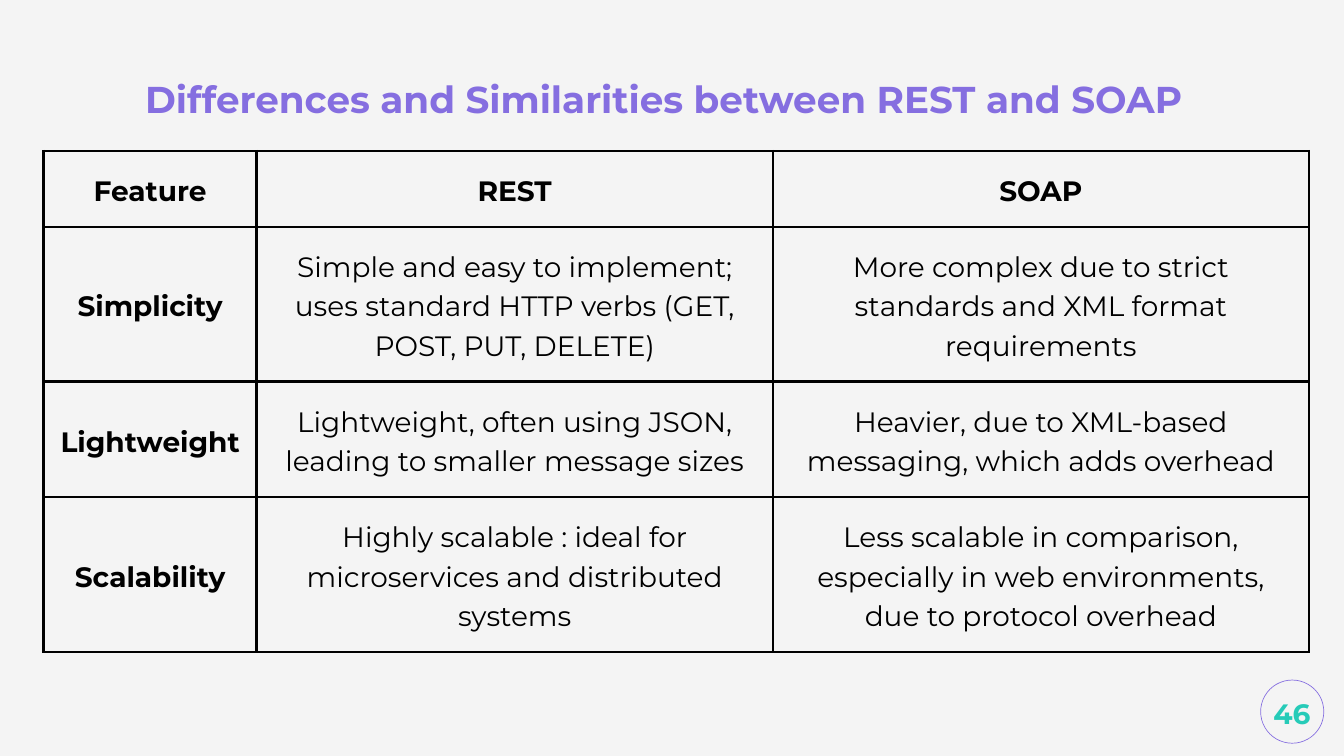
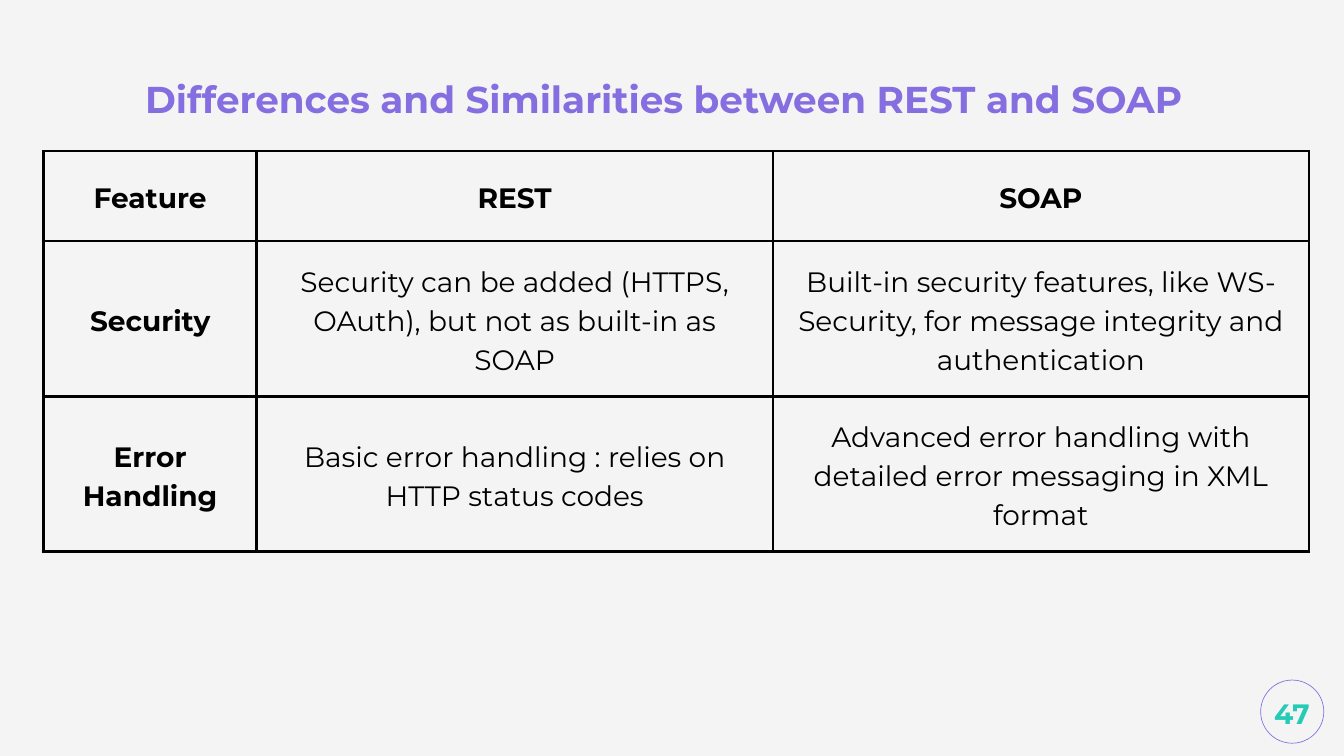
from lxml import etree
from pptx import Presentation
from pptx.dml.color import RGBColor
from pptx.enum.shapes import MSO_SHAPE
from pptx.enum.text import MSO_ANCHOR, MSO_AUTO_SIZE, PP_ALIGN
from pptx.oxml import parse_xml
from pptx.oxml.ns import nsdecls
from pptx.util import Inches, Pt

# Shared style
FONT = "Montserrat"
BACKGROUND = RGBColor(0xF4, 0xF4, 0xF4)
PURPLE = RGBColor(0x85, 0x6E, 0xE0)
TEAL = RGBColor(0x26, 0xCB, 0xB8)
BLACK = RGBColor(0x00, 0x00, 0x00)
BORDER_WIDTH = Pt(3)
COLUMN_WIDTHS = (3.17, 7.68, 7.98)
MARGINS = ("margin_left", "margin_top", "margin_right", "margin_bottom")

# Content
TITLE = "Differences and Similarities between REST and SOAP"
HEADER = ("Feature", "REST", "SOAP")
COMPARISONS = [
    {
        "number": 46,
        "row_heights": (1.13, 2.3, 1.72, 2.3),
        "features": [
            ("Simplicity",
             "Simple and easy to implement; uses standard HTTP verbs (GET, POST, PUT, DELETE)",
             "More complex due to strict standards and XML format requirements"),
            ("Lightweight",
             "Lightweight, often using JSON, leading to smaller message sizes",
             "Heavier, due to XML-based messaging, which adds overhead"),
            ("Scalability",
             "Highly scalable : ideal for microservices and distributed systems",
             "Less scalable in comparison, especially in web environments, due to protocol overhead"),
        ],
    },
    {
        "number": 47,
        "row_heights": (1.34, 2.31, 2.31),
        "features": [
            ("Security",
             "Security can be added (HTTPS, OAuth), but not as built-in as SOAP",
             "Built-in security features, like WS-Security, for message integrity and authentication"),
            ("Error Handling",
             "Basic error handling : relies on HTTP status codes",
             "Advanced error handling with detailed error messaging in XML format"),
        ],
    },
]


def set_attributes(target, values):
    for name, value in values.items():
        setattr(target, name, value)


class Deck:
    """Holds the presentation, its style and the current slide."""

    def __init__(self):
        self.presentation = Presentation()
        self.presentation.slide_width = Inches(20)
        self.presentation.slide_height = Inches(11.25)
        fill = self.presentation.slide_master.background.fill
        fill.solid()
        fill.fore_color.rgb = BACKGROUND
        self.slide = None

    def new_slide(self):
        layout = self.presentation.slide_layouts.get_by_name("Title Only")
        self.slide = self.presentation.slides.add_slide(layout)

    def fill_text(self, frame, text, color=BLACK, size=30, bold=True,
                  alignment=PP_ALIGN.CENTER, line_spacing=42):
        frame.word_wrap = True
        paragraph = frame.paragraphs[0]
        paragraph.text = text
        set_attributes(paragraph, {
            "alignment": alignment, "line_spacing": Pt(line_spacing), "space_before": Pt(0)})
        font = paragraph.runs[0].font
        set_attributes(font, {"name": FONT, "size": Pt(size), "bold": bold})
        font.color.rgb = color

    def title(self, text):
        shape = self.slide.shapes.title
        set_attributes(shape, {"left": Inches(2.16), "top": Inches(1.15),
                               "width": Inches(15.67), "height": Inches(0.64)})
        frame = shape.text_frame
        set_attributes(frame, dict.fromkeys(MARGINS, 0))
        set_attributes(frame, {"vertical_anchor": MSO_ANCHOR.TOP,
                               "auto_size": MSO_AUTO_SIZE.NONE})
        self.fill_text(frame, text, PURPLE, 40, alignment=PP_ALIGN.LEFT, line_spacing=46.8)

    def cell_borders(self, cell):
        properties = cell._tc.get_or_add_tcPr()
        for side in ("lnL", "lnR", "lnT", "lnB"):
            line = parse_xml(f'<a:{side} {nsdecls("a")} w="{BORDER_WIDTH}"/>')
            fill = etree.SubElement(line, line.tag.replace(side, "solidFill"))
            etree.SubElement(fill, line.tag.replace(side, "srgbClr"), val=str(BLACK))
            properties.append(line)

    def table(self, rows, row_heights):
        graphic_frame = self.slide.shapes.add_table(
            len(rows), len(COLUMN_WIDTHS), Inches(0.65), Inches(2.25),
            Inches(sum(COLUMN_WIDTHS)), Inches(sum(row_heights)))
        table = graphic_frame.table
        set_attributes(table, {"first_row": False, "horz_banding": False})
        for column, width in zip(table.columns, COLUMN_WIDTHS):
            column.width = Inches(width)
        for row, height in zip(table.rows, row_heights):
            row.height = Inches(height)
        for row_index, texts in enumerate(rows):
            for column_index, text in enumerate(texts):
                cell = table.cell(row_index, column_index)
                self.cell_borders(cell)
                cell.fill.background()
                set_attributes(cell, dict.fromkeys(MARGINS, Inches(0.21)))
                cell.vertical_anchor = MSO_ANCHOR.MIDDLE
                self.fill_text(cell.text_frame, text,
                               bold=row_index == 0 or column_index == 0)

    def page_number(self, number):
        shapes = self.slide.shapes
        circle = shapes.add_shape(MSO_SHAPE.OVAL, Inches(18.76), Inches(10.12),
                                  Inches(0.94), Inches(0.94))
        circle.shadow.inherit = False
        circle.fill.background()
        circle.line.color.rgb = PURPLE
        circle.line.width = Pt(0.75)
        label = shapes.add_textbox(Inches(18.84), Inches(10.16), Inches(0.77), Inches(0.82))
        frame = label.text_frame
        set_attributes(frame, dict.fromkeys(MARGINS, Inches(0.06)))
        frame.vertical_anchor = MSO_ANCHOR.MIDDLE
        self.fill_text(frame, str(number), TEAL)


def main():
    deck = Deck()
    # One comparison table per slide
    for comparison in COMPARISONS:
        deck.new_slide()
        deck.table([HEADER, *comparison["features"]], comparison["row_heights"])
        deck.title(TITLE)
        deck.page_number(comparison["number"])
    deck.presentation.save("out.pptx")


if __name__ == "__main__":
    main()
